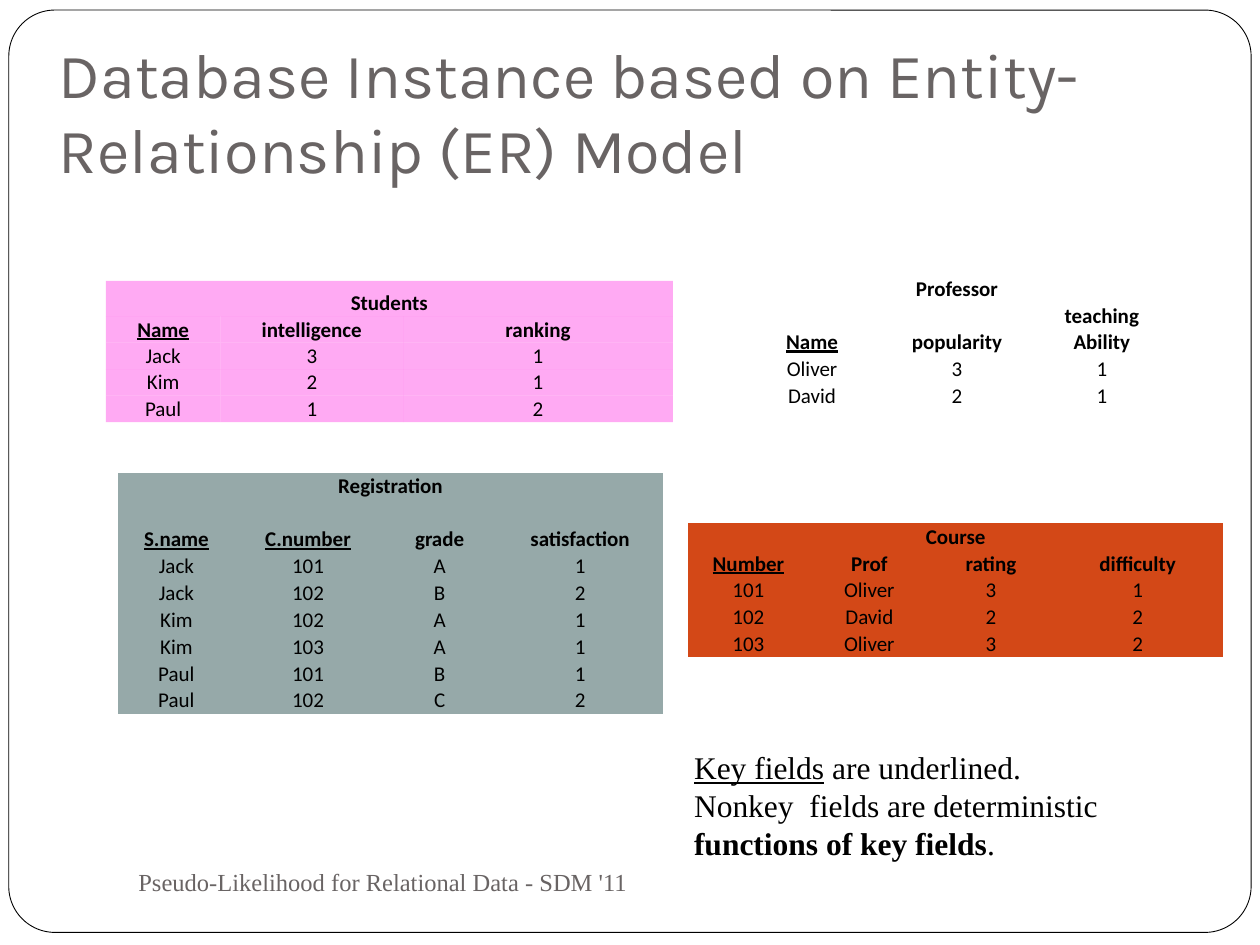
from dataclasses import dataclass
from typing import Optional

from lxml.etree import SubElement
from pptx import Presentation
from pptx.dml.color import RGBColor
from pptx.enum.shapes import MSO_SHAPE as Preset
from pptx.enum.text import MSO_ANCHOR as Anchor, PP_ALIGN as Align
from pptx.oxml.ns import qn
from pptx.util import Inches, Pt

BLACK = RGBColor(0x00, 0x00, 0x00)
WHITE = RGBColor(0xFF, 0xFF, 0xFF)
GRAY = RGBColor(0x69, 0x64, 0x64)
PINK = RGBColor(0xFF, 0x57, 0xE9)
SAGE = RGBColor(0x96, 0xA9, 0xA9)
RUST = RGBColor(0xD3, 0x48, 0x17)
PLAIN_TABLE_STYLE = "{2D5ABB26-0587-4C30-8999-92F81FD0307C}"
ROW_HEIGHT = 0.21


@dataclass(frozen=True)
class Relation:
    title: str
    left: float
    top: float
    widths: list[float]
    fields: list[str]
    records: list[str]
    key_count: int = 1
    title_height: float = ROW_HEIGHT
    title_anchor: Anchor = Anchor.BOTTOM
    field_height: float = ROW_HEIGHT
    top_margin: float = 0.01
    fill: Optional[RGBColor] = None
    opacity: int = 100


@dataclass(frozen=True)
class Phrase:
    text: str
    bold: bool = False
    underline: bool = False


@dataclass(frozen=True)
class Caption:
    box: tuple[float, float, float, float]
    lines: list[list[Phrase]]
    font: str
    size: int
    color: RGBColor
    anchor: Anchor = Anchor.TOP
    bottom_margin: float = 0.05


RELATIONS = [
    Relation("Students", 0.84, 2.23, [0.91, 1.45, 2.14],
             ["Name", "intelligence", "ranking"],
             ["Jack 3 1", "Kim 2 1", "Paul 1 2"],
             title_height=0.28, top_margin=0, fill=PINK, opacity=50),
    Relation("Registration", 0.94, 3.75, [0.92, 1.17, 0.92, 1.31],
             ["S.name", "C.number", "grade", "satisfaction"],
             ["Jack 101 A 1", "Jack 102 B 2", "Kim 102 A 1",
              "Kim 103 A 1", "Paul 101 B 1", "Paul 102 C 2"],
             key_count=2, title_height=0.42, title_anchor=Anchor.TOP, fill=SAGE),
    Relation("Professor", 5.87, 2.15, [1.15, 1.15, 1.15],
             ["Name", "popularity", "teaching\nAbility"],
             ["Oliver 3 1", "David 2 1"],
             title_height=0.25, field_height=0.41),
    Relation("Course", 5.46, 4.15, [0.96, 0.96, 0.97, 1.36],
             ["Number", "Prof", "rating", "difficulty"],
             ["101 Oliver 3 1", "102 David 2 2", "103 Oliver 3 2"],
             fill=RUST),
]

CAPTIONS = [
    Caption((1, 6.75, 4.33, 0.5),
            [[Phrase("Pseudo-Likelihood for Relational Data - SDM '11")]],
            "Times New Roman", 14, GRAY, Anchor.MIDDLE),
    Caption((0.37, 0.33, 9.26, 1.25),
            [[Phrase("Database Instance based on Entity-Relationship (ER) Model")]],
            "Karla", 36, GRAY, Anchor.BOTTOM, 0.1),
    Caption((5.41, 5.89, 4.19, 1),
            [[Phrase("Key fields", underline=True), Phrase(" are underlined.")],
             [Phrase("Nonkey  fields are deterministic "),
              Phrase("functions of key fields", bold=True), Phrase(".")]],
            "Times New Roman", 18, BLACK),
]


def draw_frame(slide) -> None:
    frame = slide.shapes.add_shape(Preset.ROUNDED_RECTANGLE, Inches(0.07),
                                   Inches(0.08), Inches(9.86), Inches(7.32))
    frame.adjustments[0] = 0.05
    frame.shadow.inherit = False
    frame.fill.solid()
    frame.fill.fore_color.rgb = WHITE
    frame.line.color.rgb = BLACK
    frame.line.width = Pt(0.5)


def draw_caption(slide, caption: Caption) -> None:
    frame = slide.shapes.add_textbox(*map(Inches, caption.box)).text_frame
    frame.word_wrap = True
    frame.vertical_anchor = caption.anchor
    frame.margin_bottom = Inches(caption.bottom_margin)
    paragraph = frame.paragraphs[0]
    for index, line in enumerate(caption.lines):
        if index:
            paragraph.add_line_break()
        for phrase in line:
            run = paragraph.add_run()
            run.text = phrase.text
            run.font.bold = phrase.bold
            run.font.underline = phrase.underline
            run.font.name = caption.font
            run.font.size = Pt(caption.size)
            run.font.color.rgb = caption.color


def fill_cell(cell, relation: Relation) -> None:
    if relation.fill is None:
        cell.fill.background()
        return
    cell.fill.solid()
    cell.fill.fore_color.rgb = relation.fill
    if relation.opacity < 100:
        color = next(cell._tc.tcPr.iter(qn("a:srgbClr")))
        SubElement(color, qn("a:alpha"), val=str(relation.opacity * 1000))


def write_cell(cell, text: str, relation: Relation, bold: bool, key: bool) -> None:
    cell.margin_left = cell.margin_right = Inches(0.01)
    cell.margin_top = Inches(relation.top_margin)
    cell.margin_bottom = 0
    cell.vertical_anchor = Anchor.BOTTOM
    fill_cell(cell, relation)
    paragraph = cell.text_frame.paragraphs[0]
    paragraph.text = text
    paragraph.alignment = Align.CENTER
    paragraph.font.size = Pt(12)
    for run in paragraph.runs:
        run.font.name = "Calibri"
        run.font.size = Pt(12)
        run.font.bold = bold
        run.font.underline = key
        run.font.color.rgb = BLACK


def draw_relation(slide, relation: Relation) -> None:
    columns = len(relation.widths)
    heights = [relation.title_height, relation.field_height]
    heights += [ROW_HEIGHT] * len(relation.records)
    table = slide.shapes.add_table(
        len(heights), columns, Inches(relation.left), Inches(relation.top),
        Inches(sum(relation.widths)), Inches(sum(heights))).table
    table._tbl.tblPr.find(qn("a:tableStyleId")).text = PLAIN_TABLE_STYLE
    table.first_row = table.horz_banding = False
    for column, width in zip(table.columns, relation.widths):
        column.width = Inches(width)
    for row, height in zip(table.rows, heights):
        row.height = Inches(height)

    heading = table.cell(0, 0)
    heading.merge(table.cell(0, columns - 1))
    write_cell(heading, relation.title, relation, bold=True, key=False)
    heading.vertical_anchor = relation.title_anchor
    body = [relation.fields] + [record.split() for record in relation.records]
    for row, values in enumerate(body, start=1):
        for column, value in enumerate(values):
            is_field = row == 1
            write_cell(table.cell(row, column), value, relation, bold=is_field,
                       key=is_field and column < relation.key_count)


def main() -> None:
    presentation = Presentation()
    presentation.slide_width = Inches(10)
    presentation.slide_height = Inches(7.5)
    slide = presentation.slides.add_slide(presentation.slide_layouts[6])
    draw_frame(slide)
    for relation in RELATIONS:
        draw_relation(slide, relation)
    for caption in CAPTIONS:
        draw_caption(slide, caption)
    presentation.save("out.pptx")


if __name__ == "__main__":
    main()
